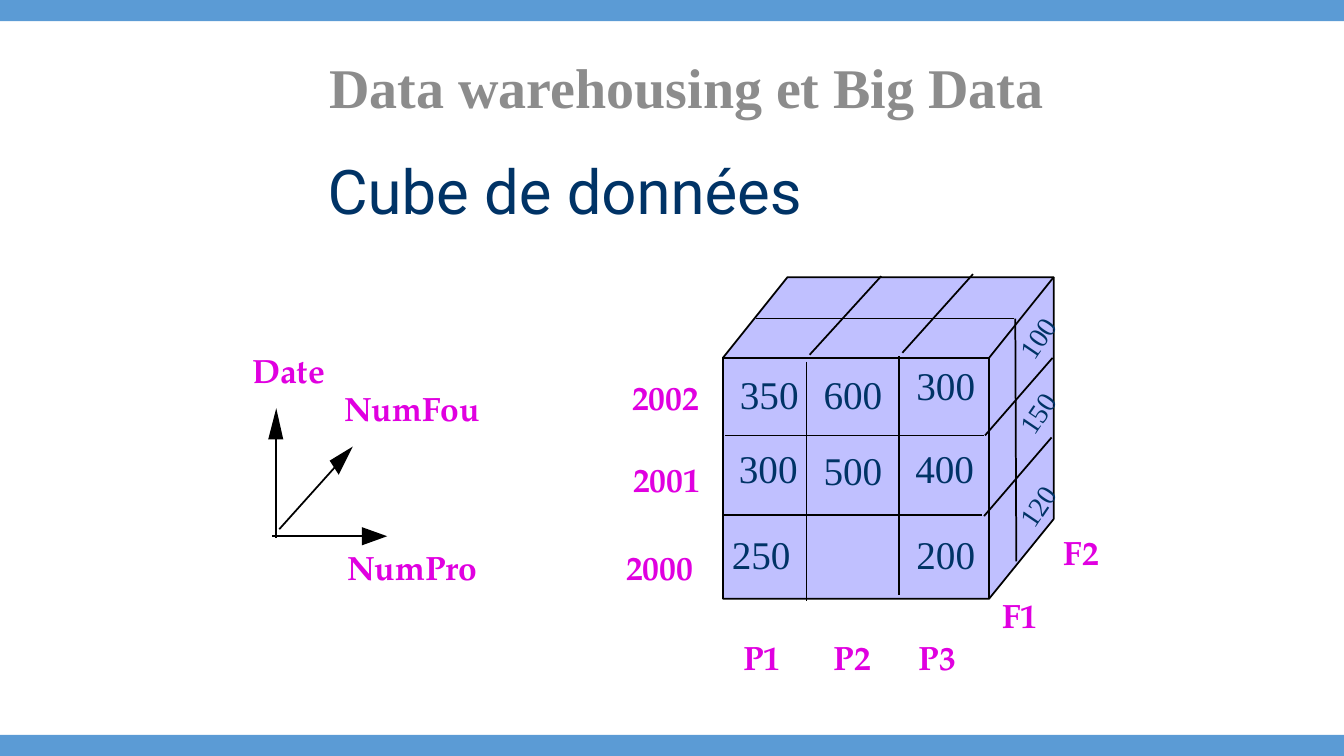
from pptx import Presentation
from pptx.dml.color import RGBColor
from pptx.enum.shapes import MSO_CONNECTOR, MSO_SHAPE
from pptx.enum.text import MSO_ANCHOR, MSO_AUTO_SIZE, PP_ALIGN
from pptx.oxml.ns import qn
from pptx.util import Inches, Pt
from lxml.etree import SubElement

LABEL = {"name": "TeX Gyre Pagella", "size": Pt(24), "bold": True}
FIGURE = {"name": "Times New Roman", "size": Pt(28)}
SIDE_FIGURE = {"name": "Times New Roman", "size": Pt(20)}
HEADER = {"name": "Times New Roman", "size": Pt(40), "bold": True}
TITLE = {"name": "Roboto", "size": Pt(44), "bold": False}
MAGENTA, NAVY, GREY, BLACK = "E000E0", "003366", "8C8C8C", "000000"
LILAC, BAR_BLUE = "C0C0FF", "5B9BD5"
EDGE_WIDTH = Pt(1.25)

AXES = [
    ((2.77, 5.25), (3.38, 4.57), [(3.5, 4.43), (3.27, 4.57), (3.36, 4.71)]),
    ((2.74, 5.34), (2.74, 4.21), [(2.74, 4.05), (2.66, 4.36), (2.81, 4.36)]),
    ((2.7, 5.32), (3.72, 5.32), [(3.84, 5.32), (3.59, 5.23), (3.59, 5.41)]),
]
CUBE_OUTLINE = [(7.81, 2.75), (7.17, 3.55), (7.17, 5.94),
                (9.81, 5.94), (10.45, 5.15), (10.45, 2.75)]
CUBE_EDGES = [
    ((9.81, 3.55), (7.16, 3.55)), ((9.81, 3.55), (10.45, 2.75)),
    ((9.81, 3.55), (9.81, 5.94)),
    ((8, 3.59), (8, 5.96)), ((8.03, 3.52), (8.74, 2.74)),
    ((8.92, 3.53), (8.92, 5.9)), ((8.95, 3.5), (9.65, 2.72)),
    ((7.19, 4.32), (9.76, 4.32)), ((9.77, 4.32), (10.44, 3.55)),
    ((7.18, 5.11), (9.74, 5.11)), ((9.76, 5.12), (10.43, 4.34)),
    ((7.5, 3.16), (10.06, 3.16)), ((10.07, 3.16), (10.08, 5.57)),
]
DIMENSION_LABELS = [
    ("NumFou", 3.42, 3.85, 1.37), ("NumPro", 3.45, 5.43, 1.31), ("Date", 2.5, 3.47, 0.73),
    ("F1", 9.94, 5.9, 0.36), ("F2", 10.55, 5.28, 0.36),
    ("P1", 7.37, 6.32, 0.37), ("P2", 8.27, 6.32, 0.37), ("P3", 9.11, 6.32, 0.37),
    ("2000", 6.21, 5.43, 0.67), ("2001", 6.28, 4.55, 0.67), ("2002", 6.27, 3.74, 0.67),
]
FRONT_FIGURES = [
    ("250", 7.16, 5.21), ("300", 7.23, 4.36), ("350", 7.24, 3.62),
    ("500", 8.07, 4.38), ("600", 8.07, 3.62),
    ("400", 8.98, 4.36), ("300", 8.99, 3.54), ("200", 8.99, 5.21),
]
SIDE_FIGURES = [("100", 3.13), ("150", 3.88), ("120", 4.8)]


def color(hex_code):
    """Turn a hex string into a colour."""
    return RGBColor.from_string(hex_code)


def write(frame, text, style, ink, align=PP_ALIGN.LEFT):
    """Write one formatted paragraph into a text frame."""
    paragraph = frame.paragraphs[0]
    paragraph.alignment = align
    run = paragraph.add_run()
    run.text = text
    for attribute, value in style.items():
        setattr(run.font, attribute, value)
    run.font.color.rgb = color(ink)
    return paragraph


def add_label(slide, text, place, style, ink, inset=(0, 0), rotation=0):
    """Add an unwrapped label that fits its text."""
    box = slide.shapes.add_textbox(*map(Inches, place))
    box.rotation = rotation
    across, down = map(Inches, inset)
    settings = {"word_wrap": False, "auto_size": MSO_AUTO_SIZE.SHAPE_TO_FIT_TEXT,
                "margin_left": across, "margin_right": across,
                "margin_top": down, "margin_bottom": down}
    for attribute, value in settings.items():
        setattr(box.text_frame, attribute, value)
    write(box.text_frame, text, style, ink)


def add_edge(slide, start, end):
    """Add a thin black straight line."""
    edge = slide.shapes.add_connector(
        MSO_CONNECTOR.STRAIGHT, *map(Inches, (*start, *end)))
    edge.line.color.rgb = color(BLACK)
    edge.line.width = EDGE_WIDTH
    SubElement(edge._element.spPr, qn("a:effectLst"))


def paint(shape, fill, outline=None):
    """Fill a shape and give it an outline or none."""
    shape.shadow.inherit = False
    shape.fill.solid()
    shape.fill.fore_color.rgb = color(fill)
    if outline:
        shape.line.color.rgb = color(outline)
        shape.line.width = EDGE_WIDTH
    else:
        shape.line.fill.background()


def add_polygon(slide, corners, fill, outline=None):
    """Add a closed polygon through the given corners."""
    first, *others = [(Inches(x), Inches(y)) for x, y in corners]
    builder = slide.shapes.build_freeform(*first)
    builder.add_line_segments(others, close=True)
    paint(builder.convert_to_shape(), fill, outline)


def add_bar(slide, top):
    """Add a full-width blue band."""
    bar = slide.shapes.add_shape(
        MSO_SHAPE.RECTANGLE, 0, Inches(top), Inches(13.33), Inches(0.21))
    paint(bar, BAR_BLUE)


def set_title(slide, text):
    """Place and format the slide title."""
    title = slide.shapes.title
    place = {"left": 3.15, "top": 1.53, "width": 8.07, "height": 0.83}
    for attribute, value in place.items():
        setattr(title, attribute, Inches(value))
    title.text_frame.auto_size = MSO_AUTO_SIZE.NONE
    title.text_frame.vertical_anchor = MSO_ANCHOR.MIDDLE
    write(title.text_frame, text, TITLE, NAVY).line_spacing = 0.85


def add_header(slide, text):
    """Add the centred course header."""
    header = slide.shapes.add_textbox(*map(Inches, (0.48, 0.33, 12.66, 1.05)))
    header.text_frame.word_wrap = True
    header.text_frame.vertical_anchor = MSO_ANCHOR.MIDDLE
    write(header.text_frame, text, HEADER, GREY, PP_ALIGN.CENTER)


def main():
    """Build the data cube slide."""
    presentation = Presentation()
    presentation.slide_width = Inches(13.33)
    presentation.slide_height = Inches(7.5)
    slide = presentation.slides.add_slide(presentation.slide_layouts[5])

    set_title(slide, "Cube de données")
    for start, end, arrowhead in AXES:
        add_edge(slide, start, end)
        add_polygon(slide, arrowhead, BLACK)
    add_polygon(slide, CUBE_OUTLINE, LILAC, BLACK)
    for start, end in CUBE_EDGES:
        add_edge(slide, start, end)
    for text, left, top, width in DIMENSION_LABELS:
        add_label(slide, text, (left, top, width, 0.4), LABEL, MAGENTA)
    for text, left, top in FRONT_FIGURES:
        add_label(slide, text, (left, top, 0.78, 0.57), FIGURE, NAVY, (0.1, 0.05))
    for text, top in SIDE_FIGURES:
        add_label(slide, text, (9.98, top, 0.62, 0.44), SIDE_FIGURE, NAVY,
                  (0.1, 0.05), 304)
    for top in (0, 7.29):
        add_bar(slide, top)
    add_header(slide, "Data warehousing et Big Data")
    presentation.save("out.pptx")


if __name__ == "__main__":
    main()
